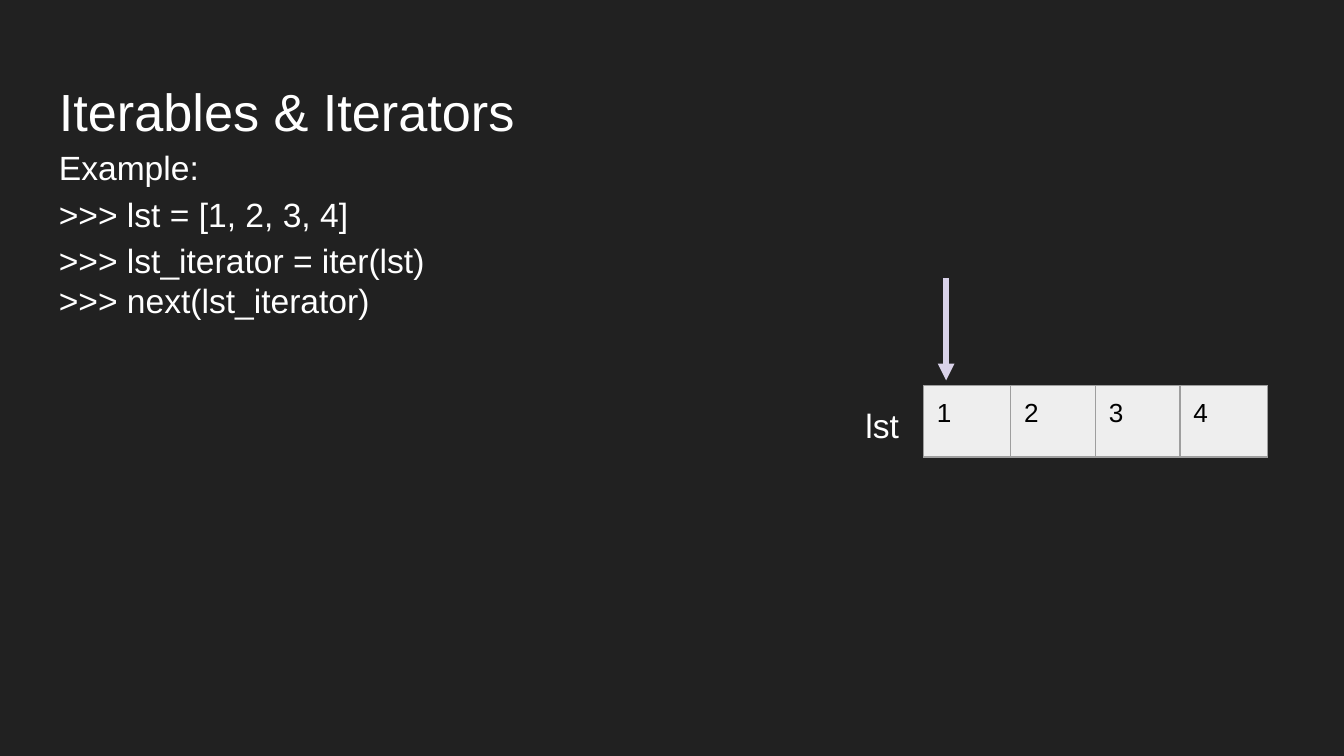
"""Build a slide showing a list iterator pointing at the first element."""
from lxml.etree import SubElement
from pptx import Presentation
from pptx.dml.color import RGBColor
from pptx.enum.shapes import MSO_CONNECTOR as Connector
from pptx.oxml.ns import qn
from pptx.util import Inches, Pt

TEXTS = [
    (["Iterables & Iterators"], (0.34, 0.49, 9.32, 0.63), {"size": 28, "spacing": 1.0}),
    (["Example:", ">>> lst = [1, 2, 3, 4]", ">>> lst_iterator = iter(lst)"],
     (0.34, 0.95, 5.87, 1.28), {}),
    ([">>> next(lst_iterator)"], (0.34, 1.94, 5.87, 0.56), {}),
    (["lst"], (6.34, 2.87, 0.53, 0.53), {}),
]
LIST_VALUES = ["1", "2", "3", "4"]
COLUMN_WIDTHS = [0.65, 0.63, 0.63, 0.65]
TABLE_LEFT, TABLE_TOP, ROW_HEIGHT = 6.87, 2.87, 0.53
ARROW_X, ARROW_TOP, ARROW_BOTTOM = 7.04, 2.07, 2.83
MARGIN = 0.1


def rgb(color):
    return RGBColor.from_string(color)


def write_text(frame, lines, size=18, color="FFFFFF", spacing=1.15):
    frame.word_wrap = True
    for index, line in enumerate(lines):
        paragraph = frame.add_paragraph() if index else frame.paragraphs[0]
        paragraph.text = line
        paragraph.line_spacing = spacing
        font = paragraph.font
        font.name, font.size = "Arial", Pt(size)
        font.color.rgb = rgb(color)


def set_margins(target):
    target.margin_left = target.margin_right = Inches(MARGIN)
    target.margin_top = target.margin_bottom = Inches(MARGIN)


def add_text(slide, lines, box, **style):
    frame = slide.shapes.add_textbox(*map(Inches, box)).text_frame
    set_margins(frame)
    write_text(frame, lines, **style)


def set_borders(cell, color, width):
    properties = cell._tc.get_or_add_tcPr()
    for index, side in enumerate(("a:lnL", "a:lnR", "a:lnT", "a:lnB")):
        border = properties.makeelement(qn(side), {"w": str(Pt(width))})
        fill = SubElement(border, qn("a:solidFill"))
        SubElement(fill, qn("a:srgbClr"), val=color)
        properties.insert(index, border)


def add_list_table(slide):
    table = slide.shapes.add_table(
        1, len(LIST_VALUES), Inches(TABLE_LEFT), Inches(TABLE_TOP),
        Inches(sum(COLUMN_WIDTHS)), Inches(ROW_HEIGHT)).table
    table.first_row = table.horz_banding = False
    for index, (value, width) in enumerate(zip(LIST_VALUES, COLUMN_WIDTHS)):
        table.columns[index].width = Inches(width)
        cell = table.cell(0, index)
        set_margins(cell)
        cell.fill.solid()
        cell.fill.fore_color.rgb = rgb("EEEEEE")
        set_borders(cell, "9E9E9E", 0.75)
        write_text(cell.text_frame, [value], size=14, color="000000", spacing=1.0)


def add_arrow(slide):
    arrow = slide.shapes.add_connector(
        Connector.STRAIGHT, Inches(ARROW_X), Inches(ARROW_TOP),
        Inches(ARROW_X), Inches(ARROW_BOTTOM))
    arrow.line.color.rgb = rgb("D9D2E9")
    arrow.line.width = Pt(3)
    SubElement(arrow.line._get_or_add_ln(), qn("a:tailEnd"), type="triangle")
    SubElement(arrow._element.spPr, qn("a:effectLst"))


def main():
    presentation = Presentation()
    presentation.slide_width = Inches(10)
    presentation.slide_height = Inches(10) * 9 // 16
    slide = presentation.slides.add_slide(presentation.slide_layouts[6])
    slide.background.fill.solid()
    slide.background.fill.fore_color.rgb = rgb("212121")
    for lines, box, style in TEXTS:
        add_text(slide, lines, box, **style)
    add_list_table(slide)
    add_arrow(slide)
    presentation.save("out.pptx")


if __name__ == "__main__":
    main()
